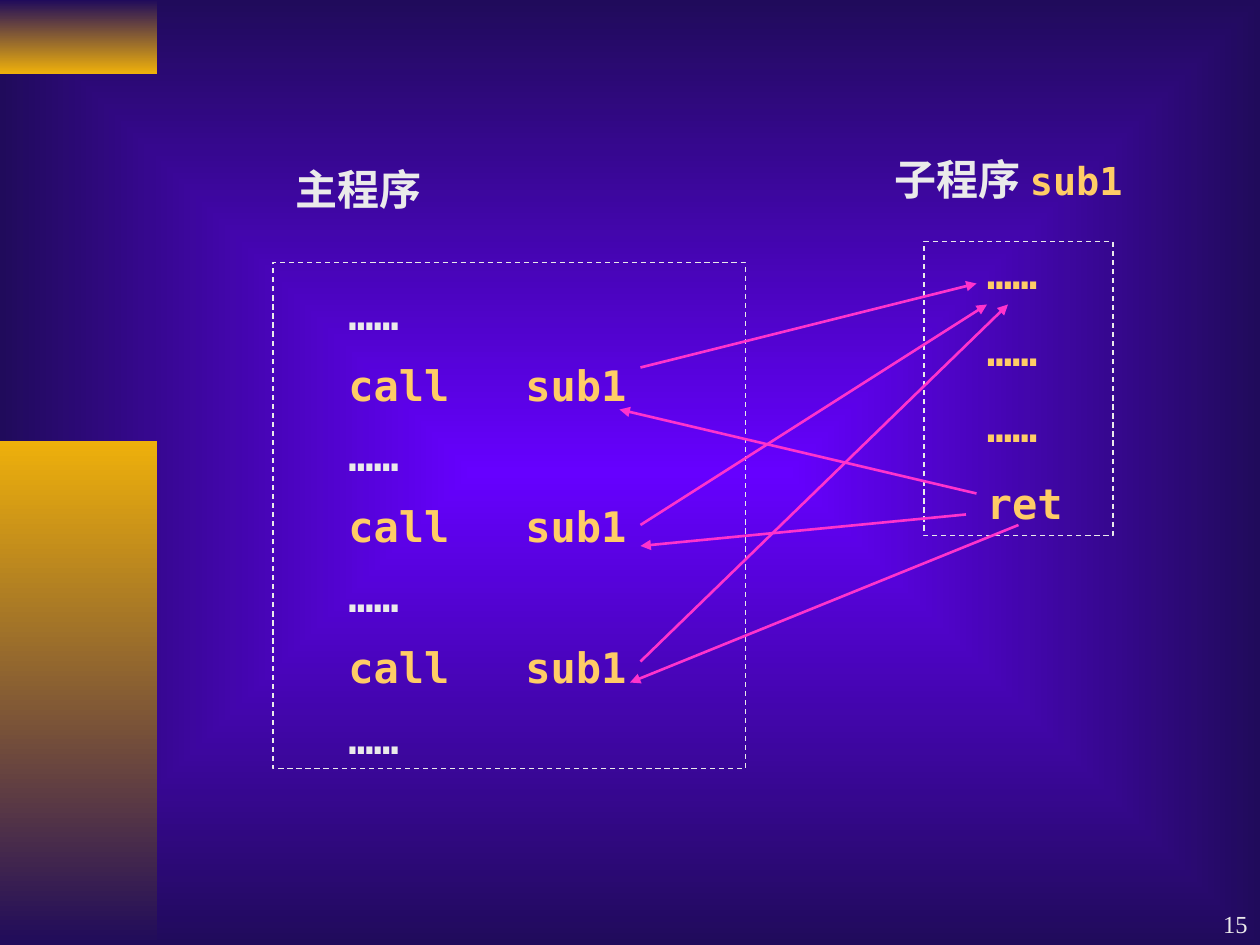
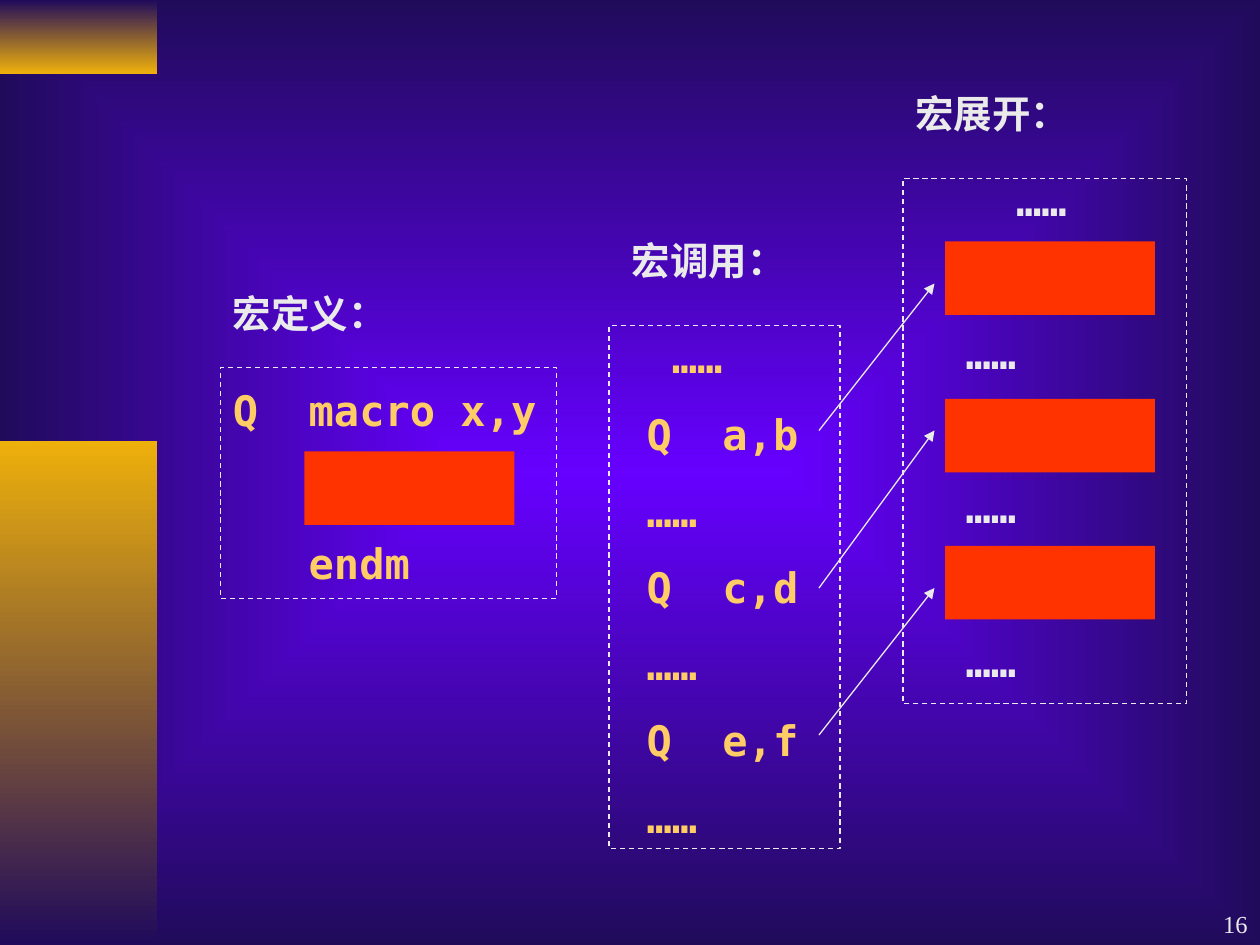
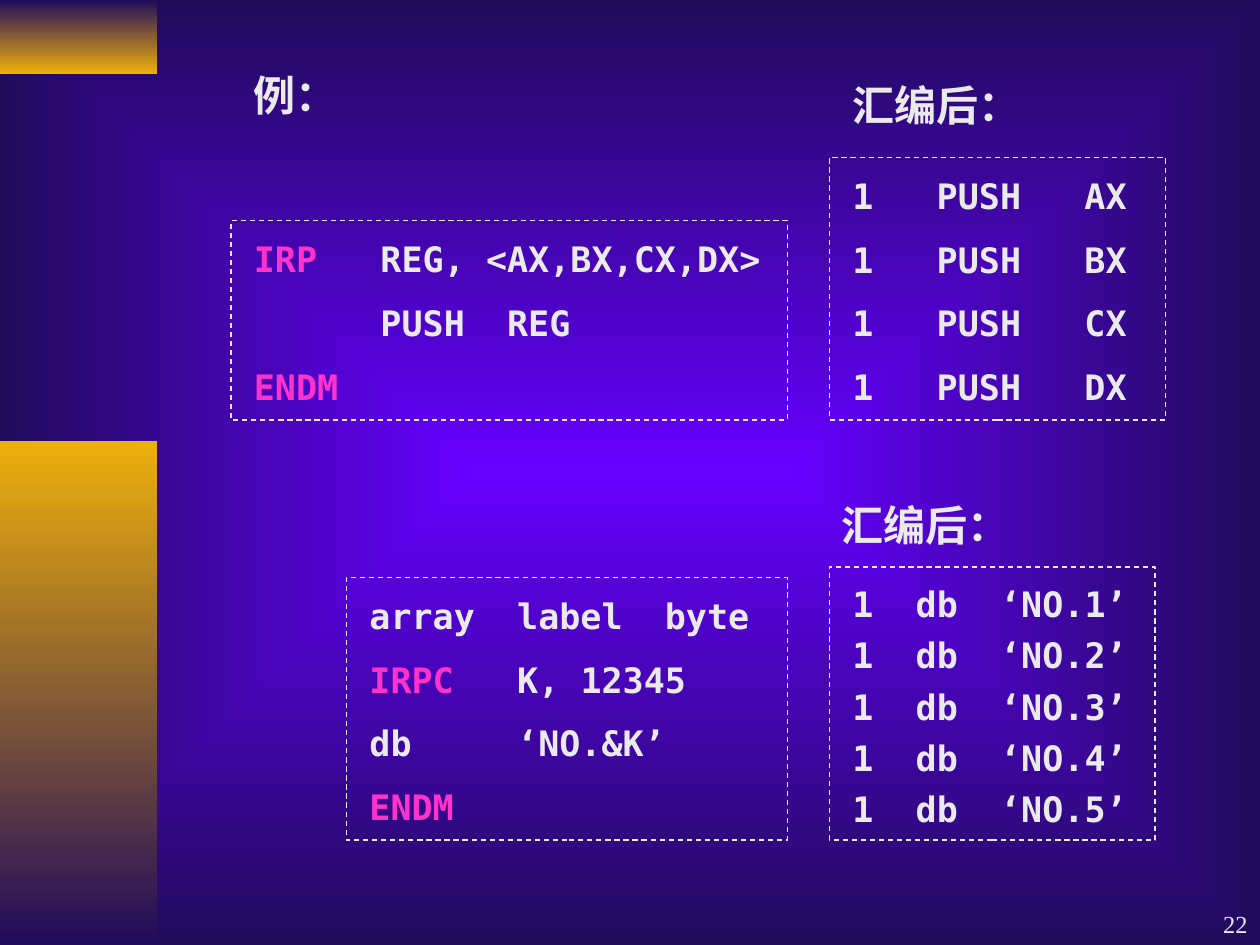
"""Build three slides on subroutines, macros and repeat blocks in assembly."""
from dataclasses import dataclass

from pptx import Presentation
from pptx.dml.color import RGBColor
from pptx.enum.dml import MSO_LINE
from pptx.enum.shapes import MSO_CONNECTOR, MSO_SHAPE
from pptx.enum.text import MSO_ANCHOR, PP_ALIGN
from pptx.oxml import parse_xml
from pptx.oxml.ns import nsdecls, qn
from pptx.util import Pt

RECTANGLE = MSO_SHAPE.RECTANGLE
STRAIGHT = MSO_CONNECTOR.STRAIGHT
DASH = MSO_LINE.DASH
TOP, BOTTOM = MSO_ANCHOR.TOP, MSO_ANCHOR.BOTTOM
JUSTIFY, RIGHT = PP_ALIGN.JUSTIFY, PP_ALIGN.RIGHT

PX = 7620
WIDTH, HEIGHT = 1200, 900
CHARACTER = 24
DOTS = "……"


@dataclass(frozen=True)
class TextStyle:
    font: str
    size: int
    color: str
    bold: bool = True


class Theme:
    violet, navy, gold = "6600FF", "200B5B", "EEB00B"
    white, yellow, pink, red = "EAEAEA", "FFCC66", "FF33CC", "FF3300"
    heading_font, code_font, page_font = "Courier New", "DejaVu Sans Mono", "Times New Roman"
    heading = TextStyle(heading_font, 24, white)
    small_heading = TextStyle(heading_font, 22, white)
    heading_code = TextStyle(code_font, 22, yellow)
    plain = TextStyle(code_font, 24, white)
    code = TextStyle(code_font, 24, yellow)
    listing = TextStyle(code_font, 20, white)
    keyword = TextStyle(code_font, 20, pink)
    page = TextStyle(page_font, 14, white, False)
    thin, thick = 0.75, 1.5
    wide_gap, listing_gap, skipped_line_gap = 15, 12.5, 59


class Deck:
    def __init__(self, theme):
        self.theme = theme
        self.presentation = Presentation()
        self.presentation.slide_width = WIDTH * PX
        self.presentation.slide_height = HEIGHT * PX
        self.slide = None

    def start_slide(self, number):
        theme = self.theme
        self.slide = self.presentation.slides.add_slide(self.presentation.slide_layouts[6])
        self.gradient(self.slide.background.fill, theme.violet, theme.navy)
        linear = self.slide.element.find(".//" + qn("a:lin"))
        linear.getparent().replace(linear, parse_xml(
            f'<a:path {nsdecls("a")} path="rect">'
            '<a:fillToRect l="50000" t="50000" r="50000" b="50000"/></a:path>'))
        self.band(0, 70, theme.navy, theme.gold)
        self.band(420, 480, theme.gold, theme.navy)
        self.text((950, 840, 250, 60), [[(str(number), theme.page)]],
                  anchor=BOTTOM, alignment=RIGHT)

    def gradient(self, fill, first, last):
        fill.gradient()
        for stop, color in zip(fill.gradient_stops, (first, last)):
            stop.color.rgb = RGBColor.from_string(color)

    def rectangle(self, box):
        shape = self.slide.shapes.add_shape(RECTANGLE, *(length * PX for length in box))
        shape.shadow.inherit = False
        shape.line.fill.background()
        return shape

    def band(self, top, height, first, last):
        fill = self.rectangle((0, top, 150, height)).fill
        self.gradient(fill, first, last)
        fill.gradient_angle = 270

    def block(self, left, top):
        fill = self.rectangle((left, top, 200, 70)).fill
        fill.solid()
        fill.fore_color.rgb = RGBColor.from_string(self.theme.red)

    def frame(self, box):
        shape = self.rectangle(box)
        shape.fill.background()
        shape.line.color.rgb = RGBColor.from_string(self.theme.white)
        shape.line.width = Pt(self.theme.thin)
        shape.line.dash_style = DASH
        return shape

    def text(self, box, lines, **layout):
        shape = self.slide.shapes.add_textbox(*(length * PX for length in box))
        self.set_lines(shape, lines, **layout)

    def heading(self, box, words, style):
        self.text(box, [[(words, style)]])

    def set_lines(self, shape, lines, gap=0, spacing=None, indent=0, first_indent=0,
                  anchor=TOP, alignment=JUSTIFY):
        frame = shape.text_frame
        frame.word_wrap = True
        frame.vertical_anchor = anchor
        for index, line in enumerate(lines):
            paragraph = frame.add_paragraph() if index else frame.paragraphs[0]
            paragraph.alignment = alignment
            properties = paragraph._p.get_or_add_pPr()
            properties.set("marL", str(indent * PX))
            properties.set("indent", str(0 if index else first_indent * PX))
            if spacing:
                paragraph.line_spacing = spacing
            if index and gap:
                paragraph.space_before = Pt(gap)
            paragraph.text = line[0][0]
            for words, _ in line[1:]:
                paragraph.add_run().text = words
            for run, (_, style) in zip(paragraph.runs, line):
                run.font.name = style.font
                run.font.size = Pt(style.size)
                run.font.bold = style.bold
                run.font.color.rgb = RGBColor.from_string(style.color)

    def arrow(self, start, end, color, width):
        connector = self.slide.shapes.add_connector(
            STRAIGHT, *(length * PX for length in start + end))
        connector.line.color.rgb = RGBColor.from_string(color)
        connector.line.width = Pt(width)
        line = connector.line._get_or_add_ln()
        line.append(parse_xml(f'<a:tailEnd {nsdecls("a")} type="triangle"/>'))
        line.addnext(parse_xml(f'<a:effectLst {nsdecls("a")}/>'))


def lines_of(style, *texts):
    return [[(text, style)] for text in texts]


def subroutine_slide(deck):
    theme = deck.theme
    deck.start_slide(15)
    deck.heading((270, 150, 170, 60), "主程序", theme.heading)
    dots, call = (DOTS, theme.plain), ("call   sub1", theme.code)
    deck.set_lines(deck.frame((260, 250, 450, 482)), [[dots], [call]] * 3 + [[dots]],
                   spacing=1.4, indent=60)
    deck.text((840, 140, 260, 60), [[("子程序 ", theme.heading), ("sub1", theme.heading_code)]])
    deck.set_lines(deck.frame((880, 230, 180, 280)),
                   lines_of(theme.code, DOTS, DOTS, DOTS, "ret"),
                   gap=theme.wide_gap, indent=2 * CHARACTER)
    for start, end in (
        ((610, 350), (930, 270)), ((930, 470), (590, 390)),
        ((920, 490), (610, 520)), ((610, 500), (940, 290)),
        ((610, 630), (960, 290)), ((970, 500), (600, 650)),
    ):
        deck.arrow(start, end, theme.pink, theme.thick)


def macro_slide(deck):
    theme = deck.theme
    deck.start_slide(16)
    for left, top, words in ((210, 270, "宏定义："), (590, 220, "宏调用："), (860, 80, "宏展开：")):
        deck.heading((left, top, 190, 56), words, theme.small_heading)

    deck.text((210, 360, 330, 206), lines_of(theme.code, "Q  macro x,y", "   endm"),
              gap=theme.skipped_line_gap)
    deck.block(290, 430)
    deck.frame((210, 350, 320, 220))

    deck.set_lines(deck.frame((580, 310, 220, 498)),
                   lines_of(theme.code, DOTS, "Q  a,b", DOTS, "Q  c,d", DOTS, "Q  e,f", DOTS),
                   gap=theme.wide_gap, indent=CHARACTER, first_indent=CHARACTER)

    deck.text((860, 160, 170, 498), lines_of(theme.plain, *[DOTS] * 4),
              gap=theme.skipped_line_gap, indent=2 * CHARACTER, first_indent=2 * CHARACTER)
    for top in (230, 380, 520):
        deck.block(900, top)
    deck.frame((860, 170, 270, 500))
    for start, end in ((410, 270), (560, 410), (700, 560)):
        deck.arrow((780, start), (890, end), theme.white, theme.thin)


def repeat_slide(deck):
    theme = deck.theme
    deck.start_slide(22)
    for box, words in (
        ((230, 60, 110, 60), "例："),
        ((800, 70, 230, 60), "汇编后："),
        ((790, 470, 190, 60), "汇编后："),
    ):
        deck.heading(box, words, theme.heading)

    end = [("ENDM", theme.keyword)]
    register_loop = [
        [("IRP", theme.keyword), ("   REG, <AX,BX,CX,DX>", theme.listing)],
        [("      PUSH  REG", theme.listing)],
        end,
    ]
    character_loop = [
        [("array  label  byte", theme.listing)],
        [("IRPC", theme.keyword), ("   K, 12345", theme.listing)],
        [("db     ‘NO.&K’", theme.listing)],
        end,
    ]
    pushes = lines_of(theme.listing, *(f"1   PUSH   {name}X" for name in "ABCD"))
    strings = lines_of(theme.listing, *(f"1  db  ‘NO.{digit}’" for digit in range(1, 6)))
    for text_box, frame_box, lines, spacing in (
        ((230, 220, 530, 174), (220, 210, 530, 190), register_loop, None),
        ((800, 160, 300, 235), (790, 150, 320, 250), pushes, None),
        ((340, 560, 400, 235), (330, 550, 420, 250), character_loop, None),
        ((800, 560, 320, 235), (790, 540, 310, 260), strings, 0.7),
    ):
        deck.text(text_box, lines, gap=theme.listing_gap, spacing=spacing)
        deck.frame(frame_box)


def main():
    deck = Deck(Theme())
    subroutine_slide(deck)
    macro_slide(deck)
    repeat_slide(deck)
    deck.presentation.save("out.pptx")


if __name__ == "__main__":
    main()
